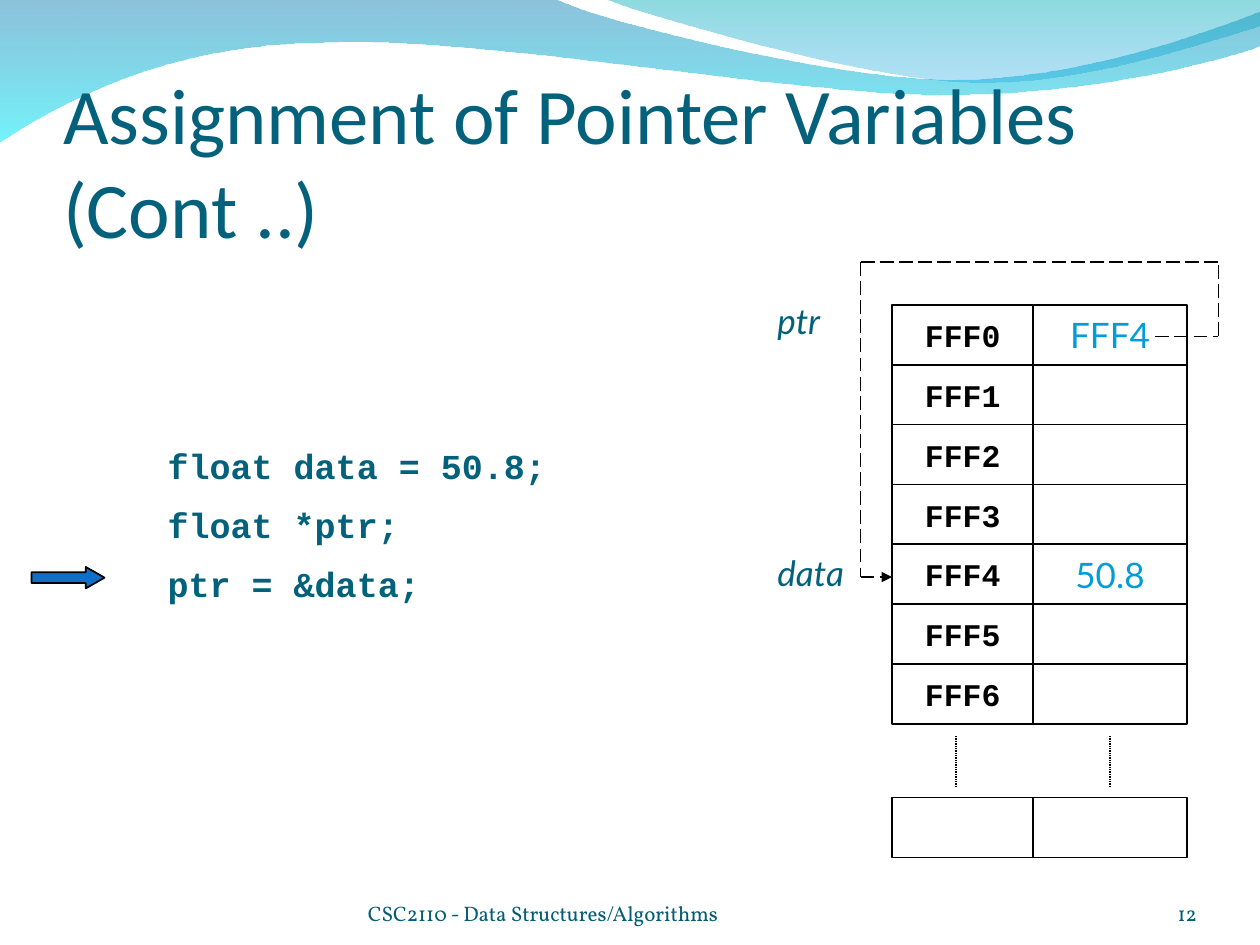
from itertools import pairwise
from lxml.etree import SubElement as Sub
from pptx import Presentation
from pptx.dml.color import RGBColor as RGB
from pptx.enum.dml import MSO_LINE as Dash
from pptx.enum.shapes import MSO_CONNECTOR as Conn, MSO_SHAPE as Kind
from pptx.enum.text import MSO_ANCHOR as Anchor, PP_ALIGN as Align
from pptx.oxml.ns import qn
from pptx.util import Inches, Pt

INK, DEEP, FOOT, SKY, BLUE = "000000", "04617B", "045C75", "009DD9", "0F6FC6"
ROW, LEFT, RIGHT = 0.475, 1.12, 1.22


def color(code):
    return RGB.from_string(code)


def place(shape, box):
    shape.left, shape.top, shape.width, shape.height = map(Inches, box)


def write(shape, lines, font, size, code, align=Align.LEFT, anchor=Anchor.TOP,
          pad=(0, 0.05, 0, 0.05), bold=False, slant=False, wrap=True):
    frame = shape.text_frame
    frame.word_wrap, frame.vertical_anchor = wrap, anchor
    (frame.margin_left, frame.margin_top,
     frame.margin_right, frame.margin_bottom) = map(Inches, pad)
    for i, line in enumerate(lines):
        para = frame.add_paragraph() if i else frame.paragraphs[0]
        para.alignment = align
        run = para.add_run()
        run.text = line
        face = run.font
        face.name, face.size, face.bold, face.italic = font, Pt(size), bold, slant
        face.color.rgb = color(code)
    return frame


def label(slide, box, text, font, size, code, **style):
    shape = slide.shapes.add_textbox(*map(Inches, box))
    return write(shape, [text], font, size, code, **style)


def block(slide, kind, box, fill=None):
    shape = slide.shapes.add_shape(kind, *map(Inches, box))
    shape.shadow.inherit = False
    if fill:
        shape.fill.solid()
        shape.fill.fore_color.rgb = color(fill)
    else:
        shape.fill.background()
    shape.line.color.rgb = color(INK)
    shape.line.width = Pt(1)
    return shape


def link(shapes, start, end, dash=None):
    line = shapes.add_connector(Conn.STRAIGHT, *map(Inches, start + end))
    line.line.color.rgb = color(INK)
    line.line.width = Pt(1)
    line.line.dash_style = dash
    Sub(line.element.spPr, qn("a:effectLst"))
    return line


def edge(line, tag, **traits):
    return Sub(line.element.spPr.find(qn("a:ln")), qn(tag), **traits)


def wave(slide, box, parts, stops):
    x, y, w, h = box
    form = slide.shapes.build_freeform(x, y, scale=Inches(1) / 100)
    form.add_line_segments([(x + w, y), (x + w, y + h), (x, y + h)])
    shape = form.convert_to_shape()
    shape.shadow.inherit = False
    shape.line.fill.background()
    trace = next(shape.element.iter(qn("a:path")))
    for part in list(trace):
        trace.remove(part)
    for tag, *dots in parts:
        step = Sub(trace, qn(tag))
        for px, py in dots:
            Sub(step, qn("a:pt"), x=str(px - x), y=str(py - y))
    Sub(trace, qn("a:close"))
    shape.fill.gradient()
    grad = shape.element.spPr.find(qn("a:gradFill"))
    for part in list(grad):
        grad.remove(part)
    group = Sub(grad, qn("a:gsLst"))
    for spot, code, alpha in stops:
        stop = Sub(group, qn("a:gs"), pos=str(spot * 1000))
        tint = Sub(stop, qn("a:srgbClr"), val=code)
        Sub(tint, qn("a:alpha"), val=str(alpha * 1000))
    Sub(grad, qn("a:lin"), ang="5400000", scaled="0")


def waves(slide):
    move, line, arc = "a:moveTo", "a:lnTo", "a:cubicBezTo"
    wave(slide, (-1, -1, 1002, 114),
         [(move, (0, -1)), (line, (440, -1)),
          (arc, (476, 17), (664, 63), (758, 63)),
          (arc, (853, 63), (958, 26), (1000, 9)), (line, (1001, 36)),
          (arc, (983, 44), (870, 76), (746, 75)),
          (arc, (622, 75), (382, 28), (257, 34)),
          (arc, (129, 35), (46, 83), (-1, 113)), (line, (0, -1))],
         [(0, "0079AF", 45), (100, "00EBF8", 55)])
    wave(slide, (479, -1, 521, 70),
         [(move, (479, -1)), (arc, (509, 11), (682, 62), (769, 65)),
          (arc, (856, 69), (961, 32), (1000, 21)),
          (line, (1000, 0)), (line, (479, -1))],
         [(0, "00ADB6", 45), (100, "009BE5", 30)])


def head(slide, box):
    title = slide.shapes.title
    slide.shapes.element.append(title.element)
    place(title, box)
    write(title, ["Assignment of Pointer Variables (Cont ..)"], "Calibri", 45, DEEP,
          anchor=Anchor.BOTTOM, pad=(0, 0.05, 0, 0))


def code(slide, box):
    x, y, w, h = box
    shape = slide.shapes.add_textbox(*map(Inches, box))
    lines = ["float data = 50.8;", "float *ptr;", "ptr = &data;"]
    frame = write(shape, lines, "Courier New", 20, DEEP, bold=True)
    for i, para in enumerate(frame.paragraphs):
        para.line_spacing = 1.2
        para.space_before = Pt(5 if i else 0)
    block(slide, Kind.RIGHT_ARROW, (x - 1.08, y + 1.09, 0.58, 0.17),
          BLUE).adjustments[1] = 0.876


def pair(slide, x, y, name="", value=""):
    cells = [(x, LEFT, name, "Courier New", 18, INK, True),
             (x + LEFT, RIGHT, value, "Lato", 20, SKY, False)]
    for at, wide, text, font, size, tone, bold in cells:
        cell = block(slide, Kind.RECTANGLE, (at, y, wide, ROW))
        if text:
            write(cell, [text], font, size, tone, align=Align.CENTER,
                  anchor=Anchor.MIDDLE, pad=(0.1, 0.05, 0.1, 0.05),
                  bold=bold, wrap=False)


def memory(slide, x, y):
    held = {0: "FFF4", 4: "50.8"}
    for i in range(7):
        pair(slide, x, y + i * ROW, f"FFF{i}", held.get(i, ""))
    pair(slide, x, y + 3.91)
    for mid in (x + 0.51, x + LEFT + RIGHT / 2):
        line = link(slide.shapes, (mid, y + 3.42), (mid, y + 3.83))
        Sub(edge(line, "a:custDash"), qn("a:ds"), d="50000", sp="50000")
    for text, drop in (("ptr", -0.09), ("data", 1.91)):
        label(slide, (x - 0.91, y + drop, 0.75, 0.44), text, "Lato", 20, DEEP,
              slant=True)


def route(slide, x, y):
    dots = [(x + 2.09, y + 0.25), (x + 2.59, y + 0.25), (x + 2.59, y - 0.34),
            (x - 0.25, y - 0.34), (x - 0.25, y + 2.16), (x, y + 2.16)]
    group = slide.shapes.add_group_shape()
    for start, end in pairwise(dots):
        line = link(group.shapes, start, end, Dash.LONG_DASH)
    edge(line, "a:tailEnd", type="triangle")


def foot(slide, y):
    label(slide, (2.92, y, 3.67, 0.4), "CSC2110 - Data Structures/Algorithms",
          "Vollkorn", 12, FOOT, anchor=Anchor.BOTTOM, pad=(0, 0, 0, 0))
    label(slide, (8.67, y, 0.83, 0.4), "12", "Vollkorn", 12, FOOT,
          align=Align.RIGHT, anchor=Anchor.BOTTOM, pad=(0, 0, 0, 0))


def main():
    deck = Presentation()
    deck.slide_width, deck.slide_height = Inches(10), Inches(7.5)
    slide = deck.slides.add_slide(deck.slide_layouts[5])
    waves(slide)
    head(slide, (0.5, 0.77, 9, 1.25))
    foot(slide, 6.95)
    code(slide, (1.33, 3.41, 3.75, 1.45))
    memory(slide, 7.08, 2.42)
    route(slide, 7.08, 2.42)
    deck.save("out.pptx")


if __name__ == "__main__":
    main()
